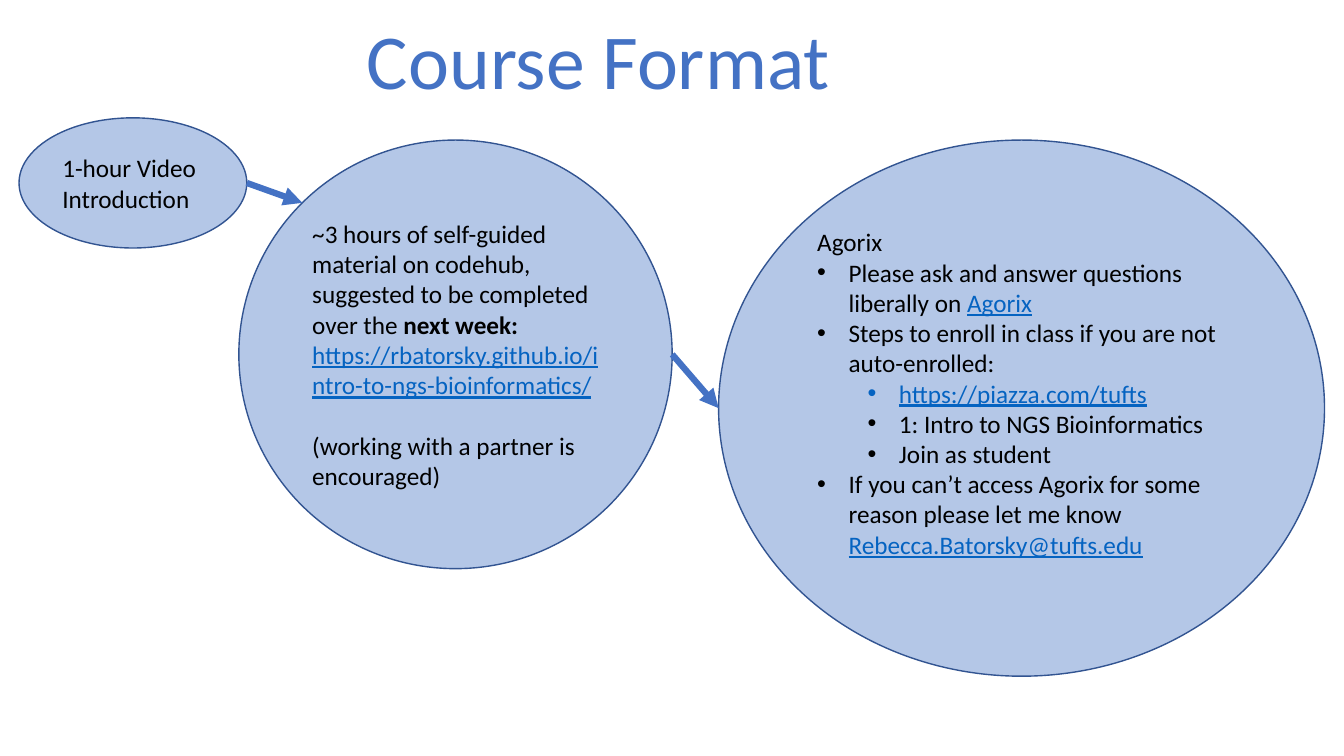
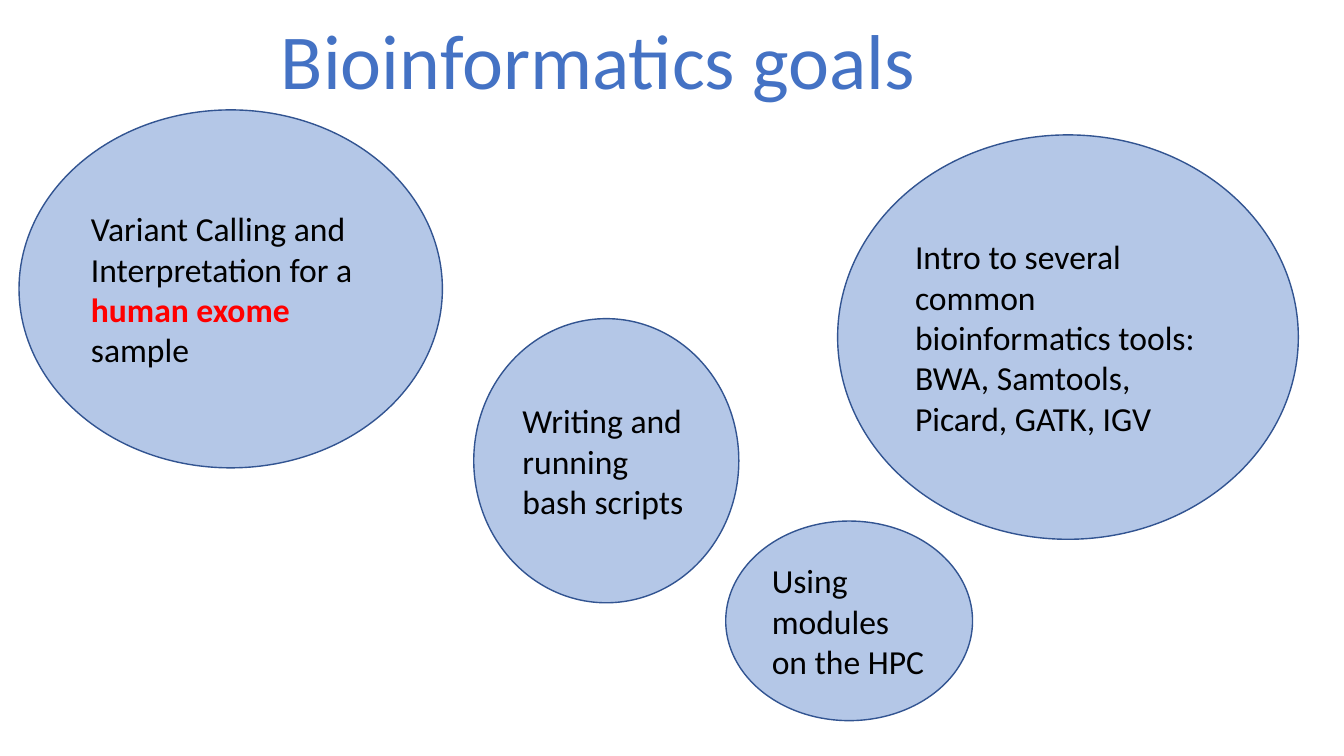
from math import cos, radians, sin

from lxml.etree import SubElement
from pptx import Presentation
from pptx.dml.color import RGBColor
from pptx.enum.shapes import MSO_CONNECTOR, MSO_SHAPE
from pptx.enum.text import MSO_ANCHOR, MSO_AUTO_SIZE, PP_ALIGN
from pptx.oxml.ns import qn
from pptx.util import Cm, Pt

FONT = "Calibri"
BLUE = RGBColor(0x44, 0x72, 0xC4)
PALE = RGBColor(0xB4, 0xC7, 0xE7)
EDGE = RGBColor(0x32, 0x54, 0x91)
LINK = RGBColor(0x05, 0x63, 0xC1)
RED = RGBColor(0xFF, 0x00, 0x00)
BLACK = RGBColor(0x00, 0x00, 0x00)

HANG = Cm(0.79)
STEP = Cm(1.27)


def set_font(font, size, color):
    font.name = FONT
    font.size = Pt(size)
    font.color.rgb = color


def link(font):
    font.color.rgb = LINK
    font.underline = True


def bold(font):
    font.bold = True


def alarm(font):
    font.bold = True
    font.color.rgb = RED


def add_page(deck, text):
    page = deck.slides.add_slide(deck.slide_layouts[5])
    title = page.shapes.title
    title.left, title.top = Cm(0.48), Cm(0.43)
    title.width, title.height = Cm(29.21), Cm(2.34)
    frame = title.text_frame
    frame.text = text
    frame.word_wrap = True
    frame.auto_size = MSO_AUTO_SIZE.NONE
    frame.vertical_anchor = MSO_ANCHOR.BOTTOM
    para = frame.paragraphs[0]
    para.alignment = PP_ALIGN.CENTER
    para.line_spacing = 0.8
    set_font(para.font, 55.5, BLUE)
    return page


def add_bullet(para, level):
    para.level = level
    props = para._p.get_or_add_pPr()
    props.set("marL", str(HANG + level * STEP))
    props.set("indent", str(-HANG))
    SubElement(props, qn("a:buFont")).set("typeface", "Arial")
    SubElement(props, qn("a:buChar")).set("char", "•")


def fill_para(para, parts, size, level=None, gap=0):
    para.alignment = PP_ALIGN.LEFT
    if gap:
        para.space_before = Pt(gap)
    if level is not None:
        add_bullet(para, level)
    set_font(para.font, size, BLACK)
    for part in parts:
        text, style = part if isinstance(part, tuple) else (part, None)
        run = para.add_run()
        run.text = text
        if style:
            style(run.font)


def add_bubble(page, box, size, items):
    shape = page.shapes.add_shape(MSO_SHAPE.OVAL, *map(Cm, box))
    shape.shadow.inherit = False
    shape.fill.solid()
    shape.fill.fore_color.rgb = PALE
    shape.line.color.rgb = EDGE
    shape.line.width = Pt(1)
    frame = shape.text_frame
    frame.word_wrap = True
    frame.vertical_anchor = MSO_ANCHOR.MIDDLE
    for index, (parts, look) in enumerate(items):
        para = frame.add_paragraph() if index else frame.paragraphs[0]
        fill_para(para, parts, size, **look)
    return shape


def rim(shape, angle):
    turn = radians(angle)
    across, down = shape.width / 2, shape.height / 2
    return (round(shape.left + across * (1 + cos(turn))),
            round(shape.top + down * (1 - sin(turn))))


def add_arrow(page, start, end):
    arrow = page.shapes.add_connector(MSO_CONNECTOR.STRAIGHT, *start, *end)
    arrow.line.color.rgb = BLUE
    arrow.line.width = Pt(4.5)
    SubElement(arrow.line._get_or_add_ln(), qn("a:tailEnd")).set("type", "triangle")
    SubElement(arrow._element.spPr, qn("a:effectLst"))


def add_format(deck):
    page = add_page(deck, "Course Format")
    intro = add_bubble(page, (0.48, 2.97, 5.74, 3.28), 18, [
        (["1-hour Video Introduction"], {}),
    ])
    guide = add_bubble(page, (6.02, 3.53, 10.92, 10.8), 18, [
        (["~3 hours of self-guided material on codehub, "
          "suggested to be completed over the ",
          ("next week: ", bold),
          ("https://rbatorsky.github.io/intro-to-ngs-bioinformatics/", link)], {}),
        (["(working with a partner is encouraged)"], {"gap": 21.6}),
    ])
    forum = add_bubble(page, (18.11, 3.53, 15.27, 13.51), 18, [
        (["Agorix"], {}),
        (["Please ask and answer questions liberally on ", ("Agorix", link)],
         {"level": 0}),
        (["Steps to enroll in class if you are not auto-enrolled:"], {"level": 0}),
        ([("https://piazza.com/tufts", link)], {"level": 1}),
        (["1: Intro to NGS Bioinformatics"], {"level": 1}),
        (["Join as student"], {"level": 1}),
        (["If you can’t access Agorix for some reason please let me know ",
          ("Rebecca.Batorsky@tufts.edu", link)], {"level": 0}),
    ])
    forum.text_frame.margin_bottom = Cm(0.89)
    add_arrow(page, rim(intro, 0), rim(guide, 135))
    add_arrow(page, rim(guide, 0), rim(forum, 180))


def add_goals(deck):
    page = add_page(deck, "Bioinformatics goals")
    goals = [
        ((0.48, 2.77, 10.67, 9.02),
         ["Variant Calling and Interpretation for a ",
          ("human exome ", alarm), "sample"]),
        ((11.94, 8.03, 6.68, 7.16), ["Writing and running bash scripts"]),
        ((21.11, 3.4, 11.61, 10.19),
         ["Intro to several common bioinformatics tools: "
          "BWA, Samtools, Picard, GATK, IGV"]),
        ((18.29, 13.13, 6.22, 5.03), ["Using modules on the HPC"]),
    ]
    for box, parts in goals:
        add_bubble(page, box, 24, [(parts, {})])


def main():
    deck = Presentation()
    deck.slide_width, deck.slide_height = Cm(33.87), Cm(19.05)
    add_format(deck)
    add_goals(deck)
    deck.save("out.pptx")


if __name__ == "__main__":
    main()
